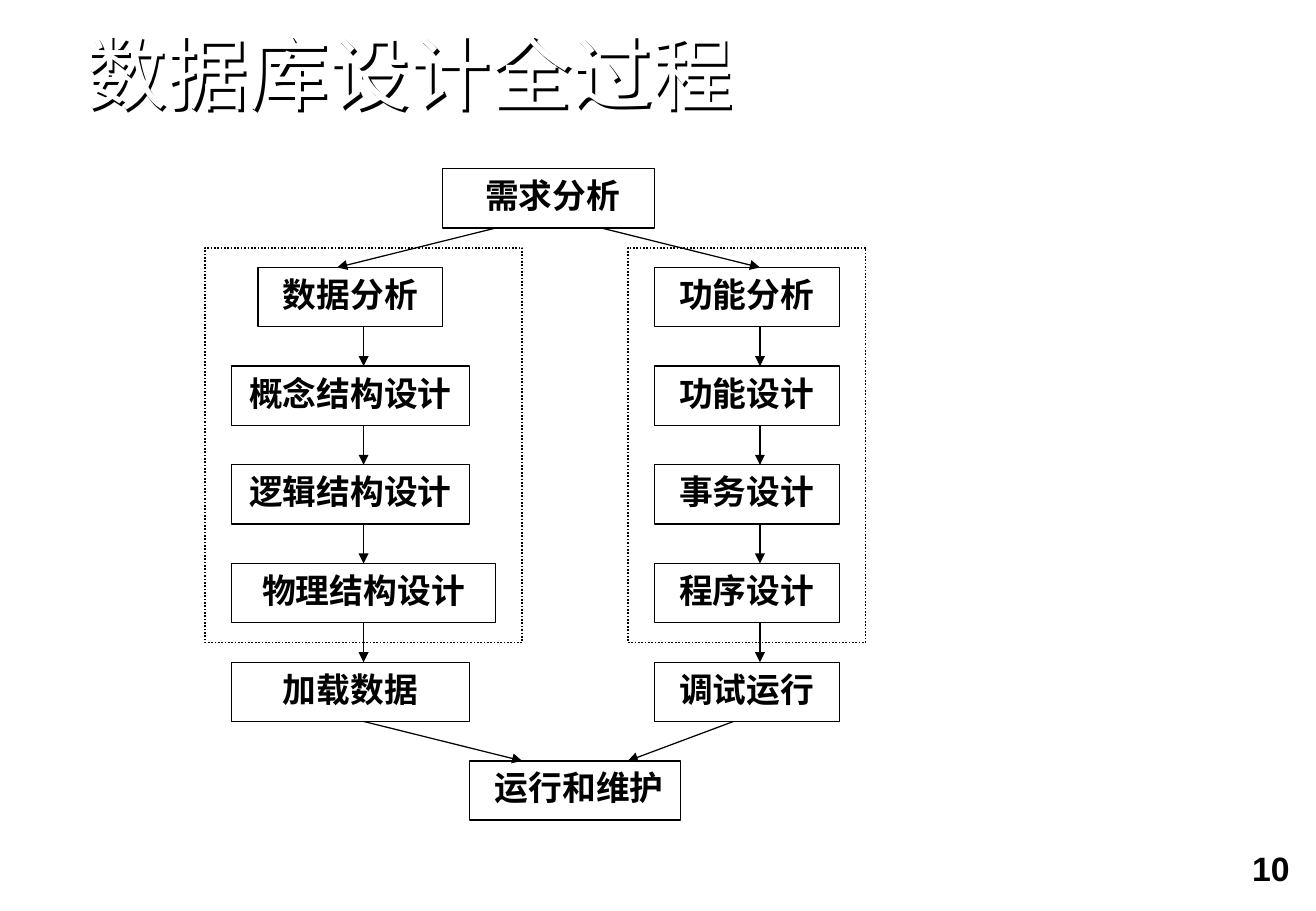
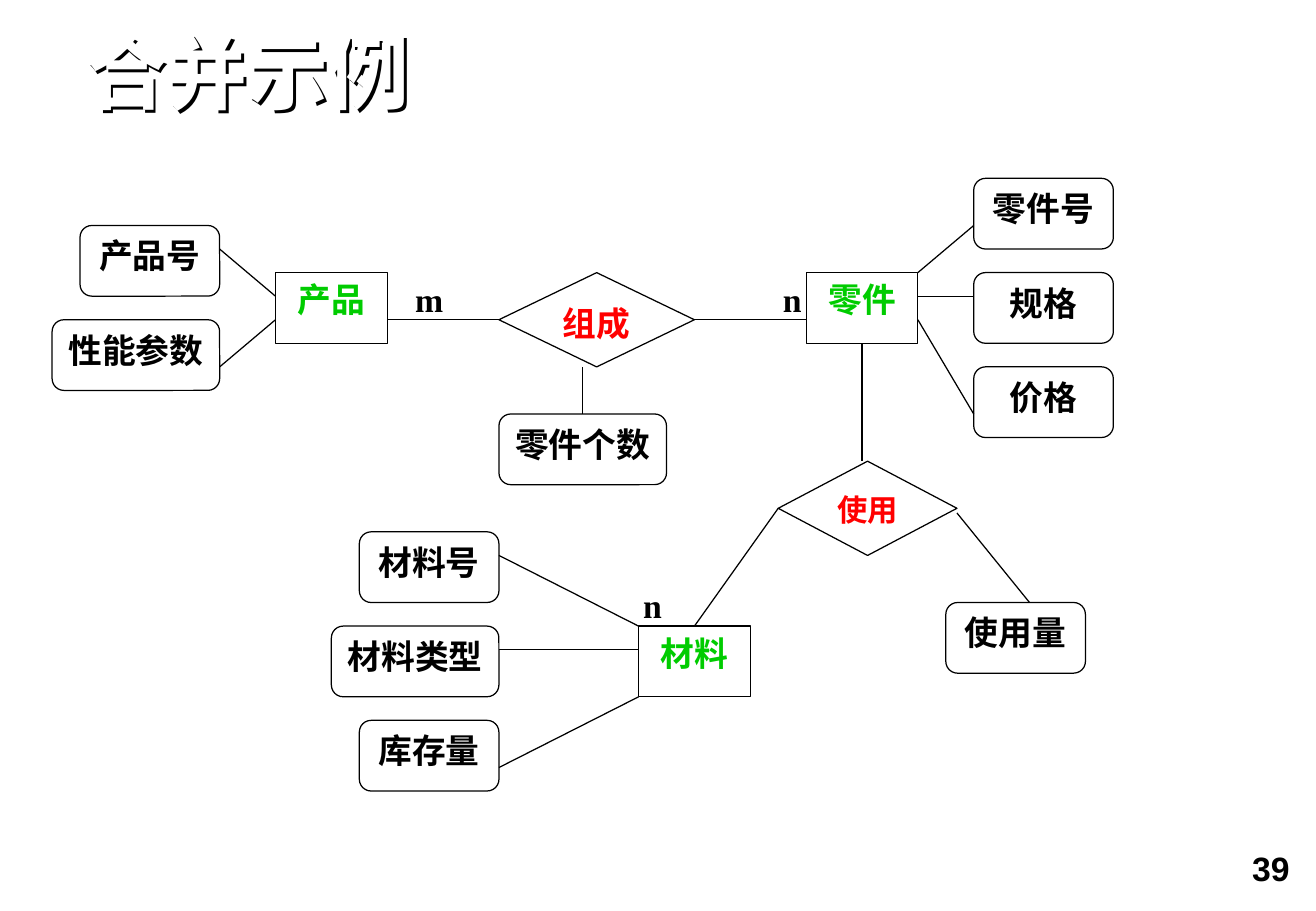
from dataclasses import dataclass

from lxml import etree
from pptx import Presentation
from pptx.dml.color import RGBColor
from pptx.enum.dml import MSO_LINE
from pptx.enum.shapes import MSO_CONNECTOR, MSO_SHAPE
from pptx.enum.text import MSO_ANCHOR, MSO_AUTO_SIZE, PP_ALIGN
from pptx.oxml.ns import qn
from pptx.util import Cm, Pt

RECT, ROUND, RHOMB = MSO_SHAPE.RECTANGLE, MSO_SHAPE.ROUNDED_RECTANGLE, MSO_SHAPE.DIAMOND
STRAIGHT, DOTTED = MSO_CONNECTOR.STRAIGHT, MSO_LINE.ROUND_DOT
TOP, BOTTOM = MSO_ANCHOR.TOP, MSO_ANCHOR.BOTTOM
CENTER, RIGHT = PP_ALIGN.CENTER, PP_ALIGN.RIGHT
LEFT = PP_ALIGN.LEFT
GROW = MSO_AUTO_SIZE.SHAPE_TO_FIT_TEXT


# Theme
@dataclass(frozen=True)
class Theme:
    black: RGBColor = RGBColor(0, 0, 0)
    white: RGBColor = RGBColor(255, 255, 255)
    green: RGBColor = RGBColor(0, 204, 0)
    red: RGBColor = RGBColor(255, 0, 0)
    sans: str = "Arial"
    serif: str = "Times New Roman"
    head: Pt = Pt(48)
    text: Pt = Pt(20)
    small: Pt = Pt(18)
    thin: Pt = Pt(0.75)
    dots: Pt = Pt(1)
    drop: Pt = Pt(2)


LOOK = Theme()


@dataclass(frozen=True)
class Grid:
    """Origin and step of a drawing grid, in centimetres."""
    left: float
    top: float
    wide: float
    high: float

    def spot(self, col, row):
        return Cm(self.left + col * self.wide), Cm(self.top + row * self.high)

    def size(self, cols, rows):
        return Cm(cols * self.wide), Cm(rows * self.high)


FLOW = Grid(4.29, 3.53, 13.82 / 25, 13.62 / 33)
MODEL = Grid(1.09, 3.73, 19.28 / 33, 12.32 / 25)


# Format helpers
def put(item, **form):
    for name, value in form.items():
        setattr(item, name, value)


def write(frame, text, color, align=None, space=None, insets=(0.25, 0.13, 0.25, 0.13),
          anchor=TOP, **font):
    left, top, right, bottom = map(Cm, insets)
    put(frame, word_wrap=True, vertical_anchor=anchor, margin_left=left,
        margin_top=top, margin_right=right, margin_bottom=bottom)
    para = frame.paragraphs[0]
    put(para, alignment=align, line_spacing=space)
    run = para.add_run()
    run.text = text
    put(run.font, **font)
    run.font.color.rgb = color


def shade(shape):
    """Give an unfilled shape a hard shadow, which its letters cast."""
    shape.fill.background()
    effects = etree.SubElement(shape._element.spPr, qn("a:effectLst"))
    shadow = etree.SubElement(effects, qn("a:outerShdw"), blurRad="0",
                              dist=str(LOOK.drop), dir="2700000", algn="tl",
                              rotWithShape="0")
    etree.SubElement(shadow, qn("a:srgbClr"), val=str(LOOK.black))


# Slide parts
def start(deck, title, number, bold):
    slide = deck.slides.add_slide(deck.slide_layouts[5])
    head = slide.shapes.title
    put(head, left=Cm(1.8), top=Cm(0.71), width=Cm(24.51), height=Cm(1.83))
    head.text_frame.auto_size = GROW
    write(head.text_frame, title, LOOK.white, LEFT, 0.9, (0, 0, 0, 0), BOTTOM,
          name=LOOK.sans, size=LOOK.head, bold=bold)
    shade(head)
    foot = slide.shapes.add_textbox(Cm(20.35), Cm(17.58), Cm(6.96), Cm(1.47))
    write(foot.text_frame, number, LOOK.black, RIGHT, insets=(0.33, 0.15, 0.33, 0.15),
          name=LOOK.sans, size=LOOK.text, bold=True)
    return slide.shapes


def block(shapes, grid, kind, col, row, cols, rows, fill=True, line=LOOK.thin):
    shape = shapes.add_shape(kind, *grid.spot(col, row), *grid.size(cols, rows))
    shape.shadow.inherit = False
    if fill:
        shape.fill.solid()
        shape.fill.fore_color.rgb = LOOK.white
    else:
        shape.fill.background()
    if line:
        shape.line.color.rgb = LOOK.black
        shape.line.width = line
    else:
        shape.line.fill.background()
    return shape


def label(shape, text, color=LOOK.black, size=LOOK.text, left=0.25):
    write(shape.text_frame, text, color, CENTER, insets=(left, 0.13, 0.25, 0.13),
          name=LOOK.serif, size=size, bold=True)


def link(shapes, grid, ends, arrow=False):
    line = shapes.add_connector(STRAIGHT, *grid.spot(*ends[:2]), *grid.spot(*ends[2:]))
    line.line.color.rgb = LOOK.black
    line.line.width = LOOK.thin
    if arrow:
        etree.SubElement(line.line._get_or_add_ln(), qn("a:tailEnd"), type="triangle")
    etree.SubElement(line._element.spPr, qn("a:effectLst"))


# Design flow
def draw_flow(deck):
    shapes = start(deck, "数据库设计全过程", "10", None)
    high, step, first = 3, 5, 5
    for text, col, row in (("需求分析", 9, 0), ("运行和维护", 10, 30)):
        label(block(shapes, FLOW, RECT, col, row, 8, high), text, left=0.43)

    # Tracks: axis column, then text, column and width of each step
    tracks = (
        (6, (("数据分析", 2, 7), ("概念结构设计", 1, 9), ("逻辑结构设计", 1, 9),
             ("物理结构设计", 1, 10), ("加载数据", 1, 9))),
        (21, [(text, 17, 7) for text in
              ("功能分析", "功能设计", "事务设计", "程序设计", "调试运行")]),
    )
    for axis, steps in tracks:
        for i, (text, col, cols) in enumerate(steps):
            row = first + i * step
            label(block(shapes, FLOW, RECT, col, row, cols, high), text)
            if i:
                link(shapes, FLOW, (axis, row - step + high, axis, row), True)

    for ends in ((11, 3, 5, 5), (15, 3, 21, 5), (6, 28, 12, 30), (20, 28, 16, 30)):
        link(shapes, FLOW, ends, True)
    for col, cols in ((0, 12), (16, 9)):
        edge = block(shapes, FLOW, RECT, col, 4, cols, 20, False, LOOK.dots)
        edge.line.dash_style = DOTTED


# Entity model
def draw_model(deck):
    shapes = start(deck, "合并示例", "39", True)
    for text, col, row in (("n", 20, 17), ("n", 25, 4), ("m", 12, 4)):
        label(block(shapes, MODEL, RECT, col, row, 3, 3, line=None), text)
    for text, col, row in (("产品", 8, 4), ("零件", 27, 4), ("材料", 21, 19)):
        label(block(shapes, MODEL, RECT, col, row, 4, 3), text, LOOK.green)
    for text, col, row, cols in (
            ("产品号", 1, 2, 5), ("性能参数", 0, 6, 6), ("零件个数", 16, 10, 6),
            ("零件号", 33, 0, 5), ("规格", 33, 4, 5), ("价格", 33, 8, 5),
            ("材料号", 11, 15, 5), ("材料类型", 10, 19, 6), ("库存量", 11, 23, 5),
            ("使用量", 32, 18, 5)):
        label(block(shapes, MODEL, ROUND, col, row, cols, 3), text)
    for text, col, row, cols, size in (("组成", 16, 4, 7, LOOK.text),
                                       ("使用", 26, 12, 6.4, LOOK.small)):
        label(block(shapes, MODEL, RHOMB, col, row, cols, 4), text, LOOK.red, size)
    for ends in (
            (12, 6, 16, 6), (23, 6, 27, 6), (19, 8, 19, 10),
            (6, 3, 8, 5), (6, 8, 8, 6),
            (33, 2, 31, 4), (31, 5, 33, 5), (31, 6, 33, 10),
            (29, 7, 29, 12), (32.4, 14.2, 35, 18), (26, 14, 23, 19),
            (16, 16, 21, 19), (16, 20, 21, 20), (16, 25, 21, 22)):
        link(shapes, MODEL, ends)


def main():
    deck = Presentation()
    put(deck, slide_width=Cm(27.53), slide_height=Cm(19.05))
    draw_flow(deck)
    draw_model(deck)
    deck.save("out.pptx")


if __name__ == "__main__":
    main()
